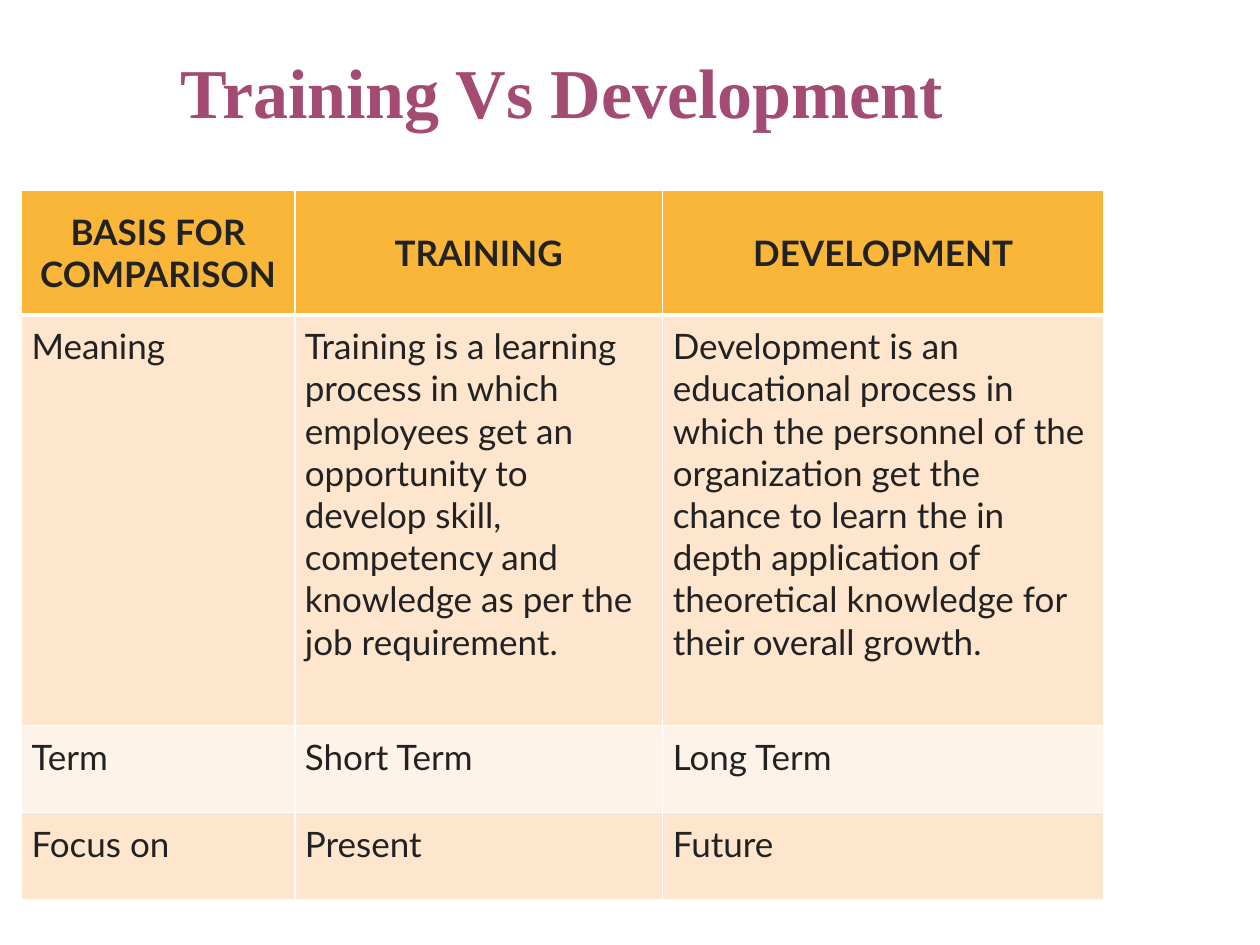
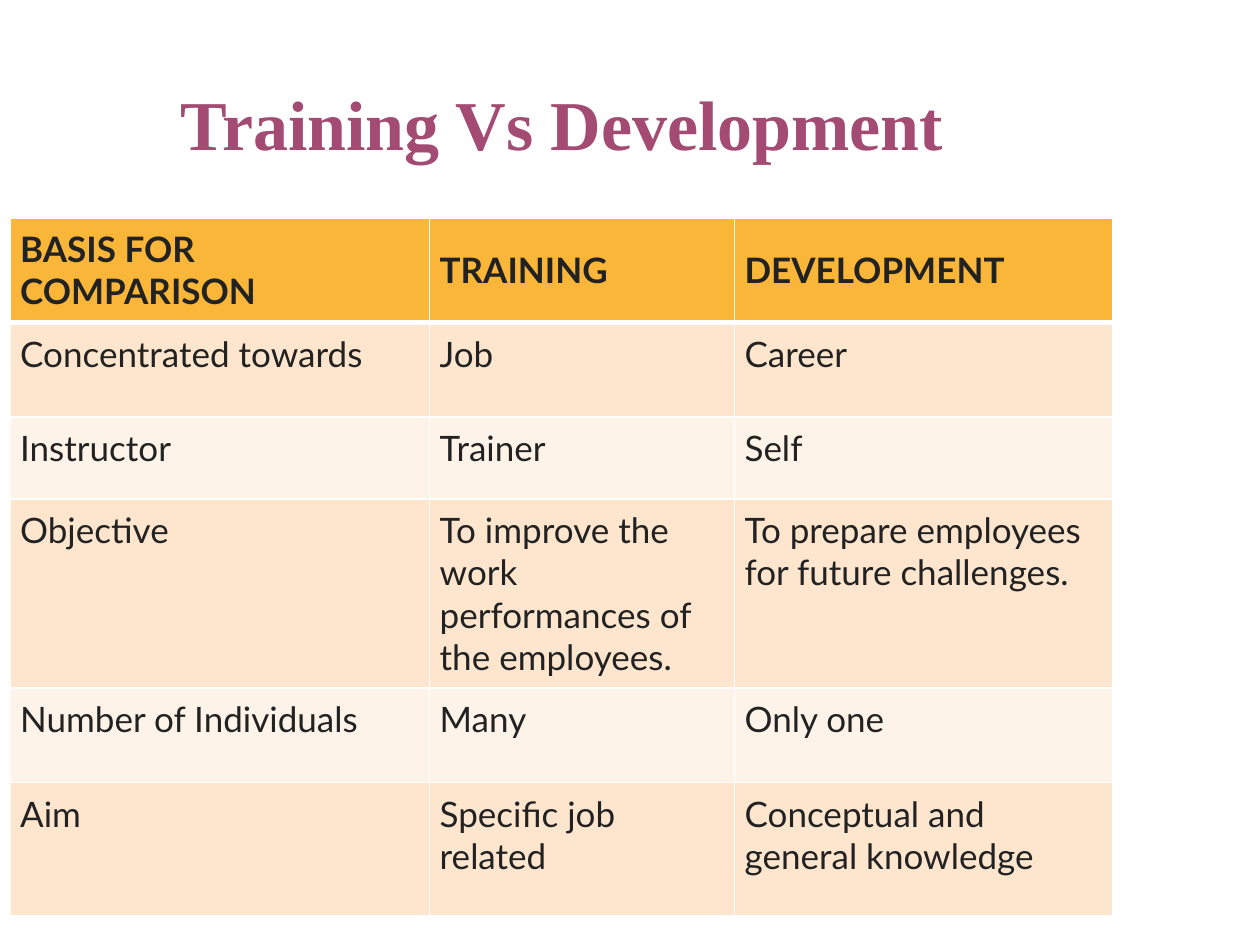
"""Build two slides that compare training with development in tables."""
from dataclasses import dataclass

from lxml.etree import SubElement
from pptx import Presentation
from pptx.dml.color import RGBColor
from pptx.enum.text import MSO_ANCHOR, PP_ALIGN
from pptx.oxml.ns import qn
from pptx.util import Inches, Pt


@dataclass(frozen=True)
class Theme:
    title_font: str = "Times New Roman"
    body_font: str = "Lato"
    title_size: int = 40
    body_size: int = 20
    title_color: str = "A34B73"
    text_color: str = "222222"
    header_fill: str = "F9B639"
    band_fills: tuple = ("FDE5CE", "FEF3E8")
    border_color: str = "FFFFFF"
    border_width: int = 1
    header_border_width: int = 3
    cell_margin: float = 0.08


THEME = Theme()
HEADINGS = ("BASIS FOR COMPARISON", "TRAINING", "DEVELOPMENT")
SLIDES = [
    {
        "title_anchor": MSO_ANCHOR.BOTTOM,
        "title_bottom": 0.55,
        "header_align": PP_ALIGN.CENTER,
        "position": (0.17, 1.51),
        "columns": (2.17, 2.92, 3.5),
        "heights": (0.99, 3.26, 0.69, 0.69),
        "rows": [
            ("Meaning",
             "Training is a learning process in which employees get an opportunity to "
             "develop skill, competency and knowledge as per the job requirement.",
             "Development is an educational process in which the personnel of the "
             "organization get the chance to learn the in depth application of "
             "theoretical knowledge for their overall growth."),
            ("Term", "Short Term", "Long Term"),
            ("Focus on", "Present", "Future"),
        ],
    },
    {
        "title_anchor": MSO_ANCHOR.MIDDLE,
        "title_bottom": 0,
        "header_align": PP_ALIGN.LEFT,
        "position": (0.08, 1.73),
        "columns": (3.33, 2.42, 3),
        "heights": (0.75, 0.75, 0.65, 1.47, 0.75, 1.06),
        "rows": [
            ("Concentrated towards", "Job", "Career"),
            ("Instructor", "Trainer", "Self"),
            ("Objective", "To improve the work performances of the employees.",
             "To prepare employees for future challenges."),
            ("Number of Individuals", "Many", "Only one"),
            ("Aim", "Specific job related", "Conceptual and general knowledge"),
        ],
    },
]


def write_text(text_frame, text, font=THEME.body_font, size=THEME.body_size,
               color=THEME.text_color, bold=False, align=PP_ALIGN.LEFT):
    text_frame.word_wrap = True
    paragraph = text_frame.paragraphs[0]
    paragraph.alignment = align
    run = paragraph.add_run()
    run.text = text
    run.font.name = font
    run.font.size = Pt(size)
    run.font.bold = bold
    run.font.color.rgb = RGBColor.from_string(color)


def set_borders(cell, top, bottom):
    properties = cell._tc.get_or_add_tcPr()
    sides = {"lnL": THEME.border_width, "lnR": THEME.border_width,
             "lnT": top, "lnB": bottom}
    for side, width in sides.items():
        line = SubElement(properties, qn(f"a:{side}"), w=str(Pt(width)))
        fill = SubElement(line, qn("a:solidFill"))
        SubElement(fill, qn("a:srgbClr"), val=THEME.border_color)


presentation = Presentation()
presentation.slide_width = Inches(10)
presentation.slide_height = Inches(7.5)

for content in SLIDES:
    slide = presentation.slides.add_slide(presentation.slide_layouts[5])
    title = slide.shapes.title
    title.left, title.top = Inches(0.5), Inches(0.35)
    title.width, title.height = Inches(7.92), Inches(1.25)
    title_frame = title.text_frame
    title_frame.vertical_anchor = content["title_anchor"]
    title_frame.margin_left = title_frame.margin_right = Inches(0.05)
    title_frame.margin_top = 0
    title_frame.margin_bottom = Inches(content["title_bottom"])
    write_text(title_frame, "Training Vs Development", font=THEME.title_font,
               size=THEME.title_size, color=THEME.title_color, bold=True,
               align=PP_ALIGN.CENTER)

    rows = [HEADINGS] + content["rows"]
    left, top = content["position"]
    table = slide.shapes.add_table(
        len(rows), len(HEADINGS), Inches(left), Inches(top),
        Inches(sum(content["columns"])), Inches(sum(content["heights"]))).table
    for column, width in zip(table.columns, content["columns"]):
        column.width = Inches(width)
    for row, height in zip(table.rows, content["heights"]):
        row.height = Inches(height)

    for row_index, row_texts in enumerate(rows):
        is_header = row_index == 0
        fill_color = THEME.header_fill if is_header else THEME.band_fills[(row_index - 1) % 2]
        top_width = THEME.header_border_width if row_index == 1 else THEME.border_width
        bottom_width = THEME.header_border_width if is_header else THEME.border_width
        for column_index, text in enumerate(row_texts):
            cell = table.cell(row_index, column_index)
            cell.margin_left = cell.margin_right = Inches(THEME.cell_margin)
            cell.margin_top = cell.margin_bottom = Inches(THEME.cell_margin)
            cell.vertical_anchor = MSO_ANCHOR.MIDDLE if is_header else MSO_ANCHOR.TOP
            set_borders(cell, top_width, bottom_width)
            cell.fill.solid()
            cell.fill.fore_color.rgb = RGBColor.from_string(fill_color)
            write_text(cell.text_frame, text, bold=is_header,
                       align=content["header_align"] if is_header else PP_ALIGN.LEFT)

presentation.save("out.pptx")
